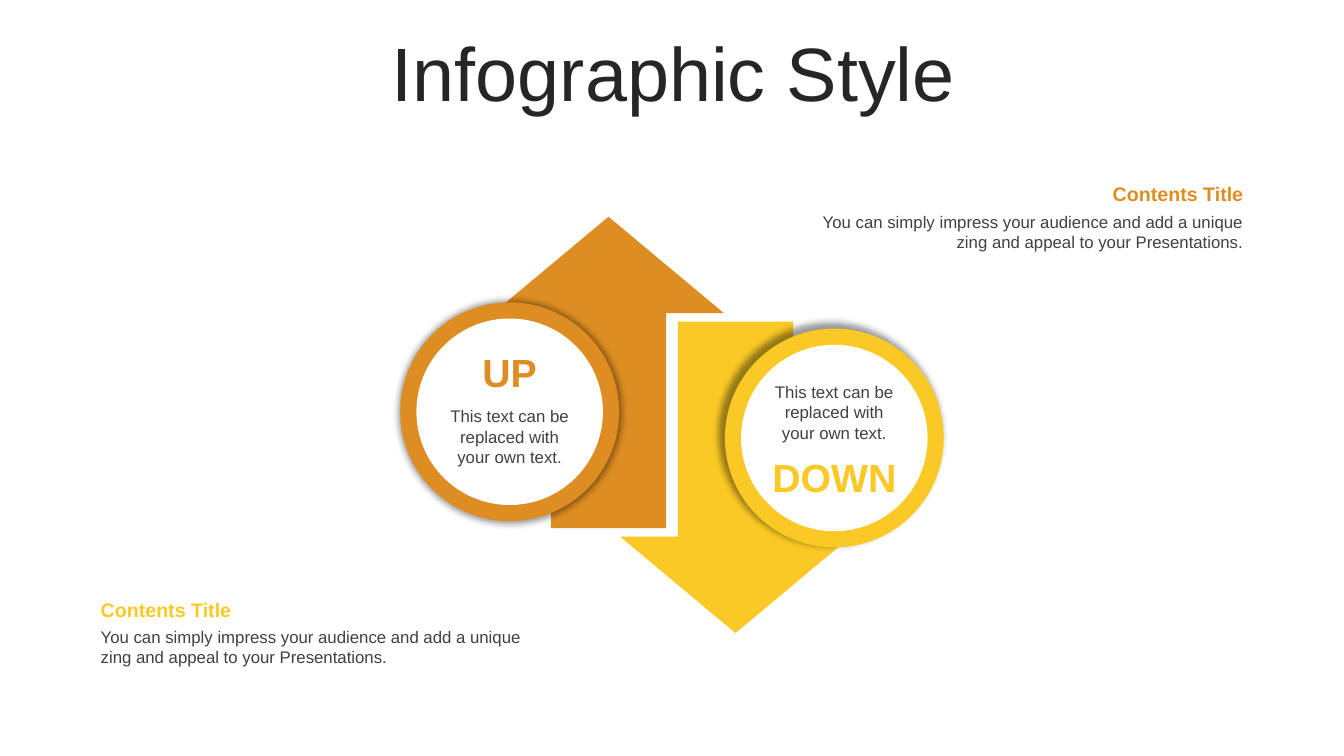
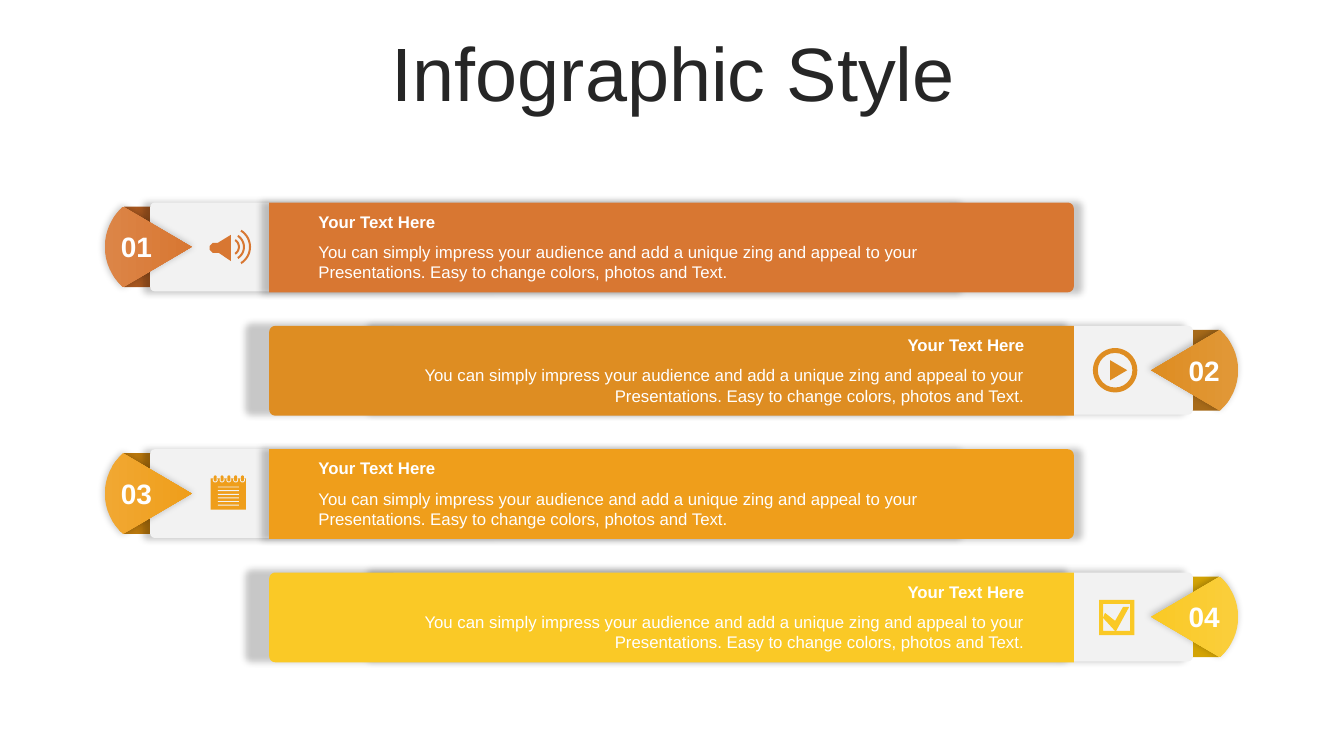
from dataclasses import dataclass
from math import cos, radians, sin
from typing import NamedTuple

from lxml.etree import SubElement
from pptx import Presentation
from pptx.dml.color import RGBColor
from pptx.enum.shapes import MSO_SHAPE
from pptx.enum.text import MSO_ANCHOR, PP_ALIGN
from pptx.oxml.ns import qn
from pptx.util import Inches, Pt


@dataclass(frozen=True)
class Theme:
    """Colours and type sizes of the deck."""
    font: str = "Arial"
    title_ink: str = "262626"
    body_ink: str = "404040"
    white: str = "FFFFFF"
    panel: str = "F2F2F2"
    rust: str = "D87732"
    rust_fold: str = "A85820"
    rust_tint: str = "DC8547"
    orange: str = "DE8D22"
    orange_fold: str = "A76A19"
    orange_tint: str = "E19838"
    amber: str = "EF9E1B"
    amber_fold: str = "BA780D"
    amber_tint: str = "F1A832"
    yellow: str = "FAC926"
    yellow_fold: str = "D3A305"
    yellow_tint: str = "FACE3C"
    title_size: int = 54
    word_size: int = 28
    number_size: int = 20
    heading_size: int = 14
    body_size: int = 12


THEME = Theme()


class Box(NamedTuple):
    """A rectangle in inches."""
    left: float
    top: float
    width: float
    height: float

    def inner(self, dx, dy, width, height, mirrored=False):
        """Return a box inside this one, counted from the right if mirrored."""
        offset = self.width - dx - width if mirrored else dx
        return Box(self.left + offset, self.top + dy, width, height)

    def emu(self):
        """Return the four measures as lengths."""
        return [Inches(measure) for measure in self]


class Row(NamedTuple):
    """Colours and icon of one banner."""
    color: str
    fold: str
    tint: str
    draw_icon: object


def paint(shape, color, shadow=None, tint=None):
    """Fill a shape, with an optional soft shadow in percent and a tint on the left."""
    if tint:
        shape.fill.gradient()
        shape.fill.gradient_angle = 0
        for stop, shade in zip(shape.fill.gradient_stops, (tint, color)):
            stop.color.rgb = RGBColor.from_string(shade)
    else:
        shape.fill.solid()
        shape.fill.fore_color.rgb = RGBColor.from_string(color)
    shape.line.fill.background()
    shape.shadow.inherit = False
    if shadow:
        effects = shape._element.spPr.find(qn("a:effectLst"))
        outer = SubElement(effects, qn("a:outerShdw"), blurRad=str(Pt(5)), sx="102000",
                           sy="102000", algn="ctr", rotWithShape="0")
        black = SubElement(outer, qn("a:srgbClr"), val="000000")
        SubElement(black, qn("a:alpha"), val=str(shadow * 1000))
    return shape


def add_preset(slide, kind, box, color, adjustments=(), **finish):
    """Add a preset shape."""
    shape = slide.shapes.add_shape(kind, *box.emu())
    for index, value in enumerate(adjustments):
        shape.adjustments[index] = value
    return paint(shape, color, **finish)


def add_outline(slide, box, points, color, **finish):
    """Add a closed outline whose points are relative to the box."""
    corners = [(Inches(box.left + x), Inches(box.top + y)) for x, y in points]
    builder = slide.shapes.build_freeform(*corners[0], scale=1)
    builder.add_line_segments(corners[1:], close=True)
    return paint(builder.convert_to_shape(), color, **finish)


def arc(x, y, radius, start, end, steps=16):
    """Return points along an arc, in degrees clockwise from the right."""
    angles = [radians(start + (end - start) * step / steps) for step in range(steps + 1)]
    return [(x + radius * cos(angle), y + radius * sin(angle)) for angle in angles]


def add_text(slide, box, text, size, color, bold=False, align=PP_ALIGN.LEFT,
             anchor=MSO_ANCHOR.TOP, line_spacing=None):
    """Add a wrapped text box with one run."""
    frame = slide.shapes.add_textbox(*box.emu()).text_frame
    frame.word_wrap = True
    frame.vertical_anchor = anchor
    paragraph = frame.paragraphs[0]
    paragraph.alignment = align
    if line_spacing:
        paragraph.line_spacing = line_spacing
    run = paragraph.add_run()
    run.text = text
    run.font.name = THEME.font
    run.font.size = Pt(size)
    run.font.bold = bold
    run.font.color.rgb = RGBColor.from_string(color)


def add_titled_slide(deck):
    """Add a blank slide with the shared title."""
    slide = deck.slides.add_slide(deck.slide_layouts[6])
    add_text(slide, Box(0.35, 0.37, 12.66, 0.79), "Infographic Style", THEME.title_size,
             THEME.title_ink, align=PP_ALIGN.CENTER, anchor=MSO_ANCHOR.MIDDLE,
             line_spacing=0.9)
    return slide


def add_arrow(slide, box, word, color, up):
    """Draw an arrow with its ring, word and note."""
    side = -1 if up else 1
    kind = MSO_SHAPE.UP_ARROW if up else MSO_SHAPE.DOWN_ARROW
    add_preset(slide, kind, box, color, (0.5, 0.418))
    diameter = 2.17
    ring = box.inner((box.width - diameter) / 2 + side * 0.98,
                     (box.height - diameter) / 2 - side * 0.39, diameter, diameter)
    circle = add_preset(slide, MSO_SHAPE.OVAL, ring, color, shadow=40)
    circle.rotation = 0 if up else 180
    add_preset(slide, MSO_SHAPE.OVAL, ring.inner(0.16, 0.16, 1.85, 1.85), THEME.white)
    word_top, note_top = (0.41, 0.98) if up else (1.19, 0.48)
    add_text(slide, ring.inner(0.35, word_top, 1.47, 0.57), word, THEME.word_size, color,
             bold=True, align=PP_ALIGN.CENTER)
    add_text(slide, ring.inner(0.32, note_top, 1.53, 0.71),
             "This text can be replaced with your own text.", THEME.body_size,
             THEME.body_ink, align=PP_ALIGN.CENTER)


def add_contents(slide, box, color, align):
    """Write a coloured heading over its paragraph."""
    add_text(slide, box.inner(0, 0, box.width, 0.34), "Contents Title",
             THEME.heading_size, color, bold=True, align=align)
    add_text(slide, box.inner(0, 0.29, box.width, 0.5),
             "You can simply impress your audience and add a unique zing and appeal "
             "to your Presentations.", THEME.body_size, THEME.body_ink, align=align)


def draw_speaker(slide, box, color):
    """Draw a loudspeaker with three sound waves."""
    add_outline(slide, box, [(0.25, 0.1), (0.25, 0.36), (0.13, 0.28), (0.07, 0.28),
                             (0.04, 0.25), (0.04, 0.21), (0.07, 0.18), (0.12, 0.18)], color)
    for radius in (0.09, 0.14, 0.2):
        wave = arc(0.25, 0.22, radius, -58, 58) + arc(0.25, 0.22, radius - 0.02, 58, -58)
        add_outline(slide, box, wave, color)


def draw_play(slide, box, color):
    """Draw a play button."""
    add_preset(slide, MSO_SHAPE.DONUT, box, color, (0.11,))
    add_outline(slide, box, [(0.17, 0.12), (0.34, 0.22), (0.17, 0.32)], color)


def draw_notepad(slide, box, color):
    """Draw a ruled notepad with five rings."""
    add_preset(slide, MSO_SHAPE.RECTANGLE, box.inner(0.05, 0.07, 0.35, 0.31), color)
    for ring in range(5):
        left = 0.07 + 0.27 * ring / 4
        add_preset(slide, MSO_SHAPE.ROUNDED_RECTANGLE, box.inner(left, 0.06, 0.05, 0.05),
                   THEME.panel, (0.5,))
        add_preset(slide, MSO_SHAPE.ROUNDED_RECTANGLE,
                   box.inner(left + 0.01, 0.04, 0.03, 0.06), color, (0.5,))
    for rule in range(6):
        add_preset(slide, MSO_SHAPE.RECTANGLE,
                   box.inner(0.12, 0.15 + 0.18 * rule / 5, 0.21, 0.01), THEME.panel)


def draw_checkbox(slide, box, color):
    """Draw a ticked box."""
    add_preset(slide, MSO_SHAPE.FRAME, box.inner(0.06, 0.05, 0.35, 0.35), color, (0.12,))
    add_outline(slide, box, [(0.22, 0.36), (0.1, 0.23), (0.12, 0.18), (0.22, 0.26),
                             (0.3, 0.12), (0.36, 0.12), (0.23, 0.36)], color)


def add_banner(slide, box, number, row, mirrored):
    """Draw a numbered banner, turned to the right side if mirrored."""
    turn = 180 if mirrored else 0
    align = PP_ALIGN.RIGHT if mirrored else PP_ALIGN.LEFT

    def facing(*measures):
        """Return a box on the side this banner faces."""
        return box.inner(*measures, mirrored=mirrored)

    add_preset(slide, MSO_SHAPE.RECTANGLE, facing(0.19, 0.04, 0.79, 0.8), row.fold)
    panel = add_preset(slide, MSO_SHAPE.ROUNDED_RECTANGLE, facing(0.45, 0, 7.96, 0.88),
                       THEME.panel, (0.05,), shadow=22)
    wedge = [(0.86, 0.4)] + arc(0.53, 0.4, 0.53, 131, 229)
    badge = add_outline(slide, facing(0, 0.04, 0.86, 0.8), wedge, row.color,
                        shadow=22, tint=row.tint)
    bar_box = facing(1.63, 0, 7.98, box.height)
    corner = 0.06
    right = bar_box.width - corner
    outline = ([(0, 0)] + arc(right, corner, corner, -90, 0, 6)
               + arc(right, box.height - corner, corner, 0, 90, 6) + [(0, box.height)])
    bar = add_outline(slide, bar_box, outline, row.color, shadow=22)
    for turned in (panel, badge, bar):
        turned.rotation = turn
    add_text(slide, facing(0.06, 0.22, 0.53, 0.44), f"{number:02}", THEME.number_size,
             THEME.white, bold=True)
    add_text(slide, facing(2.02, 0.04, 7.2, 0.3), "Your Text Here", THEME.body_size,
             THEME.white, bold=True, align=align)
    add_text(slide, facing(2.02, 0.34, 7.2, 0.5),
             "You can simply impress your audience and add a unique zing and appeal to "
             "your Presentations. Easy to change colors, photos and Text.",
             THEME.body_size, THEME.white, align=align)
    row.draw_icon(slide, facing(1, 0.22, 0.44, 0.44), row.color)


def build_arrows_slide(deck):
    """Build the slide with the up and down arrows."""
    slide = add_titled_slide(deck)
    add_arrow(slide, Box(6.15, 3.19, 2.29, 3.09), "DOWN", THEME.yellow, up=False)
    add_arrow(slide, Box(4.89, 2.15, 2.29, 3.09), "UP", THEME.orange, up=True)
    add_contents(slide, Box(0.9, 5.88, 4.69, 0.79), THEME.yellow, PP_ALIGN.LEFT)
    add_contents(slide, Box(7.74, 1.76, 4.69, 0.79), THEME.orange, PP_ALIGN.RIGHT)


def build_banners_slide(deck):
    """Build the slide with four banners on alternating sides."""
    slide = add_titled_slide(deck)
    rows = [
        Row(THEME.rust, THEME.rust_fold, THEME.rust_tint, draw_speaker),
        Row(THEME.orange, THEME.orange_fold, THEME.orange_tint, draw_play),
        Row(THEME.amber, THEME.amber_fold, THEME.amber_tint, draw_notepad),
        Row(THEME.yellow, THEME.yellow_fold, THEME.yellow_tint, draw_checkbox),
    ]
    first_top, last_top = 2.01, 5.68
    pitch = (last_top - first_top) / (len(rows) - 1)
    for index, row in enumerate(rows):
        box = Box(1.04, first_top + index * pitch, 11.24, 0.89)
        add_banner(slide, box, index + 1, row, mirrored=index % 2 == 1)


def main():
    """Build and save the deck."""
    deck = Presentation()
    deck.slide_width = Inches(13.33)
    deck.slide_height = Inches(7.5)
    build_arrows_slide(deck)
    build_banners_slide(deck)
    deck.save("out.pptx")


if __name__ == "__main__":
    main()
